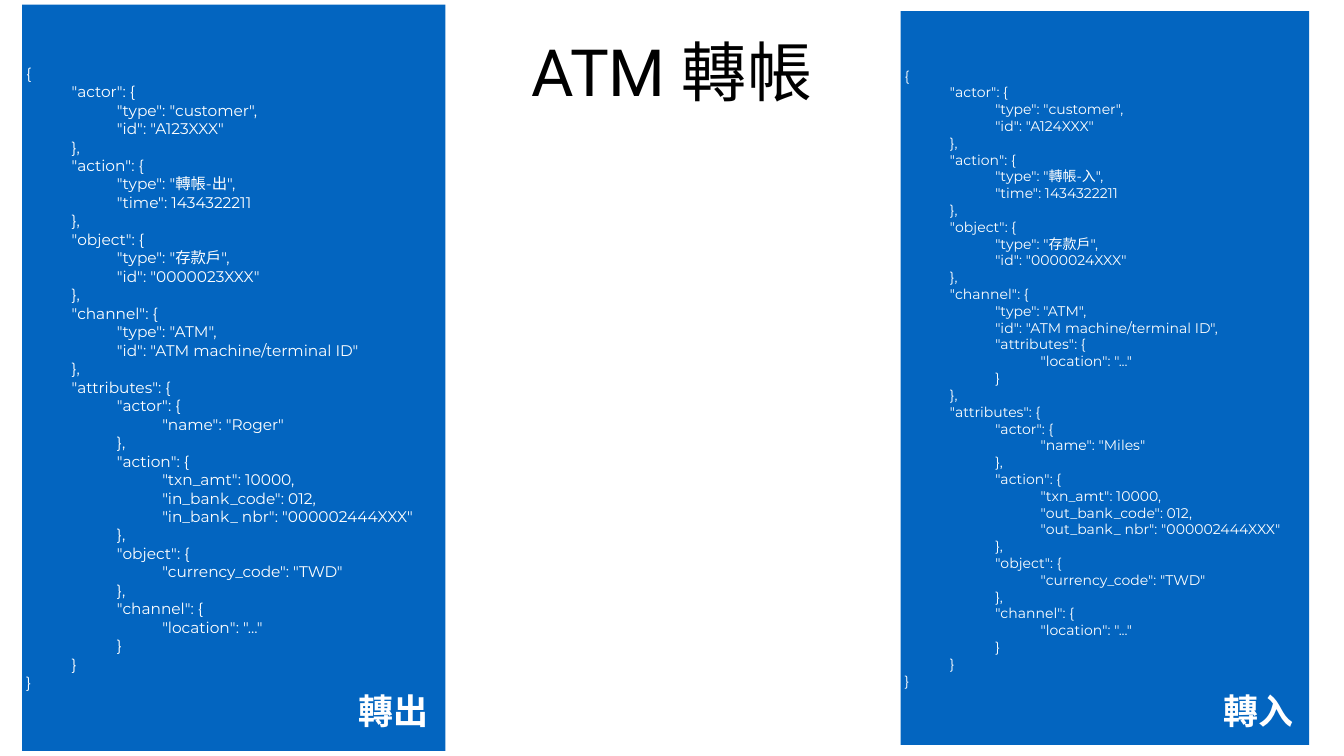
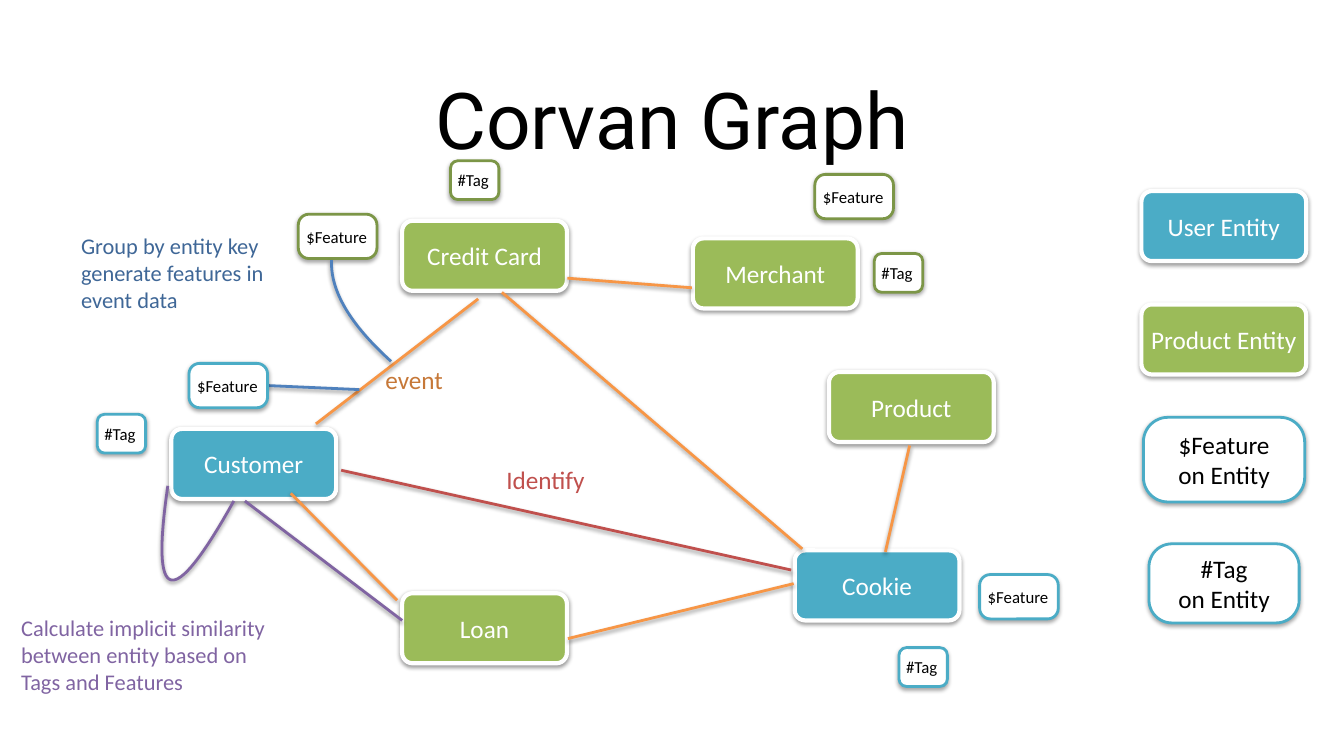
"""Build the ATM transfer events slide and the entity graph slide."""
from typing import Any, Iterator, NamedTuple

from pptx import Presentation
from pptx.dml.color import RGBColor
from pptx.enum.shapes import MSO_CONNECTOR, MSO_SHAPE
from pptx.enum.text import MSO_ANCHOR, MSO_AUTO_SIZE, PP_ALIGN
from pptx.oxml import parse_xml
from pptx.oxml.ns import nsdecls
from pptx.util import Pt

EMU_PER_PX = 9144
TITLE_ONLY = 5
WHITE, BLACK, PANEL_BLUE = "FFFFFF", "000000", "0365C0"
USER, PRODUCT, PRODUCT_EDGE = "4BACC6", "9BBB59", "7C9647"
ORANGE, RED, BLUE, PURPLE = "F79646", "C0504D", "4F81BD", "8064A2"
DARK_ORANGE, DARK_BLUE = "C67838", "3F6797"
TAB = 90
CURVE_STEPS = 32


class Panel(NamedTuple):
    box: tuple[int, int, int, int]
    size: int
    event: dict[str, Any]
    label: str
    label_x: int


class BoxStyle(NamedTuple):
    w: int
    h: int
    adj: float
    line_w: int
    shadow: int
    size: int
    align: PP_ALIGN


class Node(NamedTuple):
    text: str
    x: int
    y: int
    style: BoxStyle
    fill: str
    line: str


class Link(NamedTuple):
    start: tuple[int, int]
    end: tuple[int, int]
    color: str


class Curve(NamedTuple):
    points: tuple[tuple[int, int], ...]
    color: str


class Note(NamedTuple):
    text: str
    box: tuple[int, int, int, int]
    size: int
    color: str
    wrap: bool


ENTITY = BoxStyle(327, 139, 0.15, 6, 38, 36, PP_ALIGN.CENTER)
FEATURE = BoxStyle(156, 88, 0.24, 4, 35, 24, PP_ALIGN.LEFT)
TAG = BoxStyle(96, 77, 0.19, 4, 35, 24, PP_ALIGN.LEFT)
FEATURE_KEY = BoxStyle(320, 168, 0.29, 4, 35, 36, PP_ALIGN.CENTER)
TAG_KEY = BoxStyle(298, 157, 0.29, 4, 35, 36, PP_ALIGN.CENTER)


def px(n: float) -> int:
    return round(n * EMU_PER_PX)


def rgb(color: str) -> RGBColor:
    return RGBColor.from_string(color)


def set_all(obj: Any, fmt: dict[str, Any]) -> None:
    for name, value in fmt.items():
        setattr(obj, name, value)


def write(sp: Any, lines: list[tuple[int, str]], size: int, color: str,
          font: str = "Calibri", align: PP_ALIGN = PP_ALIGN.LEFT, inset: int = 10,
          anchor: MSO_ANCHOR = MSO_ANCHOR.MIDDLE, wrap: bool = True,
          fit: MSO_AUTO_SIZE = MSO_AUTO_SIZE.NONE, bold: bool = False) -> None:
    tf = sp.text_frame
    set_all(tf, {"word_wrap": wrap, "auto_size": fit, "vertical_anchor": anchor,
                 **{f"margin_{side}": px(inset) for side in ("left", "right", "top", "bottom")}})
    for i, (level, text) in enumerate(lines):
        p = tf.add_paragraph() if i else tf.paragraphs[0]
        p.alignment = align
        if level:
            p._p.get_or_add_pPr().set("marL", str(px(level * TAB)))
        r = p.add_run()
        r.text = text
        set_all(r.font, {"name": font, "size": Pt(size), "bold": bold})
        r.font.color.rgb = rgb(color)


def add_slide(prs: Any, title: str, box: tuple[int, int, int, int], size: int) -> Any:
    s = prs.slides.add_slide(prs.slide_layouts[TITLE_ONLY])
    sp = s.shapes.title
    set_all(sp, dict(zip(("left", "top", "width", "height"), map(px, box))))
    write(sp, [(0, title)], size, BLACK, "Roboto", PP_ALIGN.CENTER, 8)
    return s


def add_textbox(s: Any, box: tuple[int, int, int, int]) -> Any:
    return s.shapes.add_textbox(*map(px, box))


def set_line(sp: Any, color: str, width: int) -> None:
    sp.line.color.rgb = rgb(color)
    sp.line.width = Pt(width)


def add_shadow(sp: Any, alpha: int) -> None:
    sp._element.spPr.append(parse_xml(
        f'<a:effectLst {nsdecls("a")}><a:outerShdw blurRad="{Pt(6)}" dist="{Pt(3)}" '
        f'dir="5400000" rotWithShape="0"><a:srgbClr val="{BLACK}">'
        f'<a:alpha val="{alpha * 1000}"/></a:srgbClr></a:outerShdw></a:effectLst>'))


def event(direction: str, customer: str, account: str, name: str, bank: str,
          channel_extra: dict[str, Any]) -> dict[str, Any]:
    return {
        "actor": {"type": '"customer"', "id": f'"{customer}"'},
        "action": {"type": f'"轉帳-{direction}"', "time": "1434322211"},
        "object": {"type": '"存款戶"', "id": f'"{account}"'},
        "channel": {"type": '"ATM"', "id": '"ATM machine/terminal ID"', **channel_extra},
        "attributes": {
            "actor": {"name": f'"{name}"'},
            "action": {"txn_amt": "10000", f"{bank}_bank_code": "012",
                       f"{bank}_bank_ nbr": '"000002444XXX"'},
            "object": {"currency_code": '"TWD"'},
            "channel": {"location": '"..."'},
        },
    }


def json_lines(node: dict[str, Any], prefix: str = "", level: int = 0,
               comma: str = "") -> Iterator[tuple[int, str]]:
    yield level, prefix + "{"
    for i, (key, value) in enumerate(node.items(), 1):
        end = "," if i < len(node) else ""
        if isinstance(value, dict):
            yield from json_lines(value, f'"{key}": ', level + 1, end)
        else:
            yield level + 1, f'"{key}": {value}{end}'
    yield level, "}" + comma


def add_panel(s: Any, panel: Panel) -> None:
    sp = s.shapes.add_shape(MSO_SHAPE.RECTANGLE, *map(px, panel.box))
    sp.shadow.inherit = False
    sp.fill.solid()
    sp.fill.fore_color.rgb = rgb(PANEL_BLUE)
    sp.line.fill.background()
    write(sp, list(json_lines(panel.event)), panel.size, WHITE, "Montserrat", inset=8)


def add_panel_label(s: Any, panel: Panel) -> None:
    sp = add_textbox(s, (panel.label_x, 1354, 156, 113))
    write(sp, [(0, panel.label)], 50, WHITE, "Roboto", PP_ALIGN.CENTER, 8,
          wrap=False, fit=MSO_AUTO_SIZE.SHAPE_TO_FIT_TEXT, bold=True)


def add_node(s: Any, node: Node) -> None:
    style = node.style
    sp = s.shapes.add_shape(MSO_SHAPE.ROUNDED_RECTANGLE,
                            *map(px, (node.x, node.y, style.w, style.h)))
    sp.adjustments[0] = style.adj
    sp.fill.solid()
    sp.fill.fore_color.rgb = rgb(node.fill)
    set_line(sp, node.line, style.line_w)
    add_shadow(sp, style.shadow)
    color = BLACK if node.fill == WHITE else WHITE
    write(sp, [(0, text) for text in node.text.split("\n")], style.size, color,
          align=style.align)


def add_link(s: Any, link: Link) -> None:
    sp = s.shapes.add_connector(MSO_CONNECTOR.STRAIGHT, *map(px, link.start + link.end))
    set_line(sp, link.color, 4)
    add_shadow(sp, 38)


def add_curve(s: Any, curve: Curve) -> None:
    dots = []
    for t in (i / CURVE_STEPS for i in range(CURVE_STEPS + 1)):
        weights = ((1 - t) ** 3, 3 * t * (1 - t) ** 2, 3 * t ** 2 * (1 - t), t ** 3)
        dots.append(tuple(px(sum(w * pt[axis] for w, pt in zip(weights, curve.points)))
                          for axis in (0, 1)))
    builder = s.shapes.build_freeform(*dots[0])
    builder.add_line_segments(dots[1:], close=False)
    sp = builder.convert_to_shape()
    sp.fill.background()
    set_line(sp, curve.color, 4)
    add_shadow(sp, 38)


def add_note(s: Any, note: Note) -> None:
    write(add_textbox(s, note.box), [(0, note.text)], note.size, note.color,
          anchor=MSO_ANCHOR.TOP, wrap=note.wrap, fit=MSO_AUTO_SIZE.SHAPE_TO_FIT_TEXT)


def entity(text: str, x: int, y: int, fill: str) -> Node:
    return Node(text, x, y, ENTITY, fill, WHITE)


def feature(x: int, y: int, line: str) -> Node:
    return Node("$Feature", x, y, FEATURE, WHITE, line)


def tag(x: int, y: int, line: str) -> Node:
    return Node("#Tag", x, y, TAG, WHITE, line)


PANELS = [
    Panel((44, 9, 840, 1481), 22,
          event("出", "A123XXX", "0000023XXX", "Roger", "in", {}), "轉出", 702),
    Panel((1787, 22, 811, 1456), 20,
          event("入", "A124XXX", "0000024XXX", "Miles", "out",
                {"attributes": {"location": '"..."'}}), "轉入", 2420),
]
ENTITIES = [
    entity("Customer", 340, 851, USER),
    entity("Cookie", 1577, 1092, USER),
    entity("Credit Card", 798, 438, PRODUCT),
    entity("Merchant", 1375, 473, PRODUCT),
    entity("Loan", 798, 1177, PRODUCT),
    entity("Product", 1645, 738, PRODUCT),
]
LINKS = [
    Link((627, 841), (949, 593), ORANGE),
    Link((1126, 552), (1373, 571), ORANGE),
    Link((577, 979), (788, 1191), ORANGE),
    Link((1592, 1089), (996, 580), ORANGE),
    Link((1575, 1158), (1127, 1267), ORANGE),
    Link((1757, 1095), (1805, 884), ORANGE),
    Link((677, 933), (1570, 1131), RED),
    Link((531, 765), (713, 773), BLUE),
    Link((486, 994), (798, 1231), PURPLE),
]
MARKS = [
    feature(1617, 346, PRODUCT_EDGE), tag(1735, 503, PRODUCT_EDGE),
    feature(592, 425, PRODUCT_EDGE), tag(894, 319, PRODUCT_EDGE),
    feature(375, 721, USER), tag(193, 822, USER),
    feature(1944, 1140, USER), tag(1784, 1285, USER),
]
LEGEND = [
    entity("User Entity", 2265, 379, USER),
    entity("Product Entity", 2265, 604, PRODUCT),
    Node("$Feature\non Entity", 2269, 828, FEATURE_KEY, WHITE, USER),
    Node("#Tag\non Entity", 2280, 1079, TAG_KEY, WHITE, USER),
]
CURVES = [
    Curve(((776, 717), (694, 643), (655, 576), (658, 516)), BLUE),
    Curve(((464, 994), (342, 1213), (298, 1203), (333, 964)), PURPLE),
]
NOTES = [
    Note("Identify", (995, 912, 177, 81), 36, RED, False),
    Note("event", (755, 712, 136, 81), 36, DARK_ORANGE, False),
    Note("Group by entity key generate features in event data",
         (151, 451, 395, 183), 32, DARK_BLUE, True),
    Note("Calculate implicit similarity between entity based on Tags and Features",
         (32, 1208, 521, 183), 32, PURPLE, True),
]


def main() -> None:
    prs = Presentation()
    set_all(prs, {"slide_width": px(2667), "slide_height": px(1500)})

    s = add_slide(prs, "ATM 轉帳", (480, 41, 1707, 197), 93)
    for draw in (add_panel, add_panel_label):
        for panel in PANELS:
            draw(s, panel)

    s = add_slide(prs, "Corvan Graph", (480, 68, 1707, 332), 112)
    for draw, items in ((add_node, ENTITIES), (add_link, LINKS), (add_node, MARKS),
                        (add_curve, CURVES), (add_note, NOTES), (add_node, LEGEND)):
        for item in items:
            draw(s, item)

    prs.save("out.pptx")


if __name__ == "__main__":
    main()
